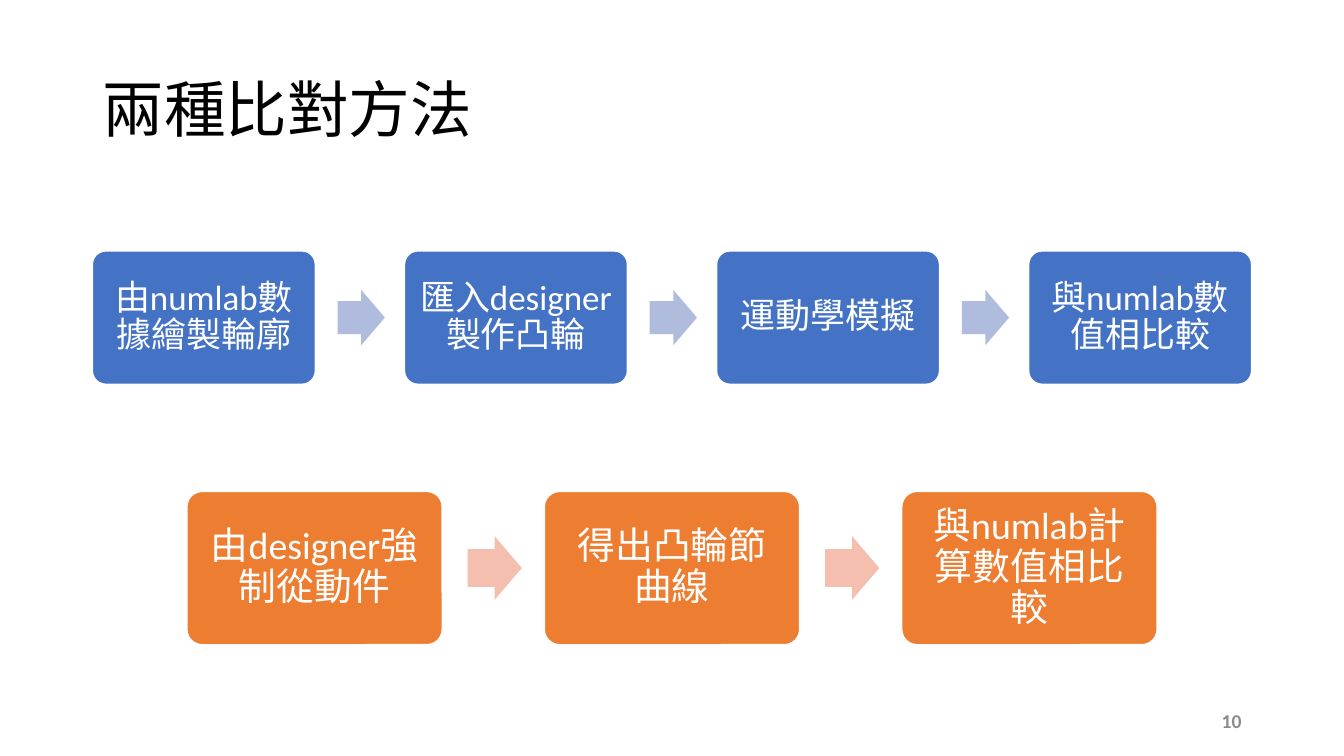
from dataclasses import dataclass

from pptx import Presentation
from pptx.dml.color import RGBColor
from pptx.enum.shapes import MSO_SHAPE
from pptx.enum.text import MSO_ANCHOR, PP_ALIGN
from pptx.util import Pt

ROUNDED, ARROW = MSO_SHAPE.ROUNDED_RECTANGLE, MSO_SHAPE.RIGHT_ARROW
MIDDLE = MSO_ANCHOR.MIDDLE
LEFT, CENTER, RIGHT = PP_ALIGN.LEFT, PP_ALIGN.CENTER, PP_ALIGN.RIGHT
EMU_PER_PX = 9525
TITLE_ONLY = 5


@dataclass(frozen=True)
class Theme:
    font: str = "Calibri"
    black: str = "000000"
    white: str = "FFFFFF"
    gray: str = "8C8C8C"
    blue: str = "4472C4"
    pale_blue: str = "B0BCDE"
    orange: str = "ED7D31"
    pale_orange: str = "F4BFAE"
    title_size: int = 44
    number_size: int = 14
    blue_size: int = 25
    orange_size: int = 27


THEME = Theme()


def px(*lengths):
    return [round(length * EMU_PER_PX) for length in lengths]


def write(frame, text, size, color, align, spacing=None, bold=False):
    frame.word_wrap = True
    frame.vertical_anchor = MIDDLE
    para = frame.paragraphs[0]
    para.text = text
    para.alignment = align
    para.line_spacing = spacing
    para.font.name = THEME.font
    para.font.size = Pt(size)
    para.font.bold = bold
    para.font.color.rgb = RGBColor.from_string(color)


def add_filled(page, kind, box, fill, adjustments):
    shape = page.shapes.add_shape(kind, *px(*box))
    shape.shadow.inherit = False
    shape.fill.solid()
    shape.fill.fore_color.rgb = RGBColor.from_string(fill)
    shape.line.fill.background()
    for index, value in enumerate(adjustments):
        shape.adjustments[index] = value
    return shape


def add_title(page, box, text):
    title = page.shapes.title
    title.left, title.top, title.width, title.height = px(*box)
    write(title.text_frame, text, THEME.title_size, THEME.black, LEFT, 0.9)


def add_process(page, box, steps, fill, arrow_fill, size):
    """Row of steps whose sizes all follow from the step width."""
    left, top, width, height = box
    step_width = width / (1.4 * len(steps) - 0.4)
    arrow_width, arrow_height = 0.212 * step_width, 0.248 * step_width
    for index, text in enumerate(steps):
        x = left + index * 1.4 * step_width
        # Arrow from the step before
        if index:
            arrow_box = (x - 0.3 * step_width, top + (height - arrow_height) / 2,
                         arrow_width, arrow_height)
            add_filled(page, ARROW, arrow_box, arrow_fill, (0.6, 0.5))
        # Step
        step = add_filled(page, ROUNDED, (x, top, step_width, height), fill, (0.1,))
        step.line.color.rgb = RGBColor.from_string(THEME.white)
        step.line.width = Pt(1)
        frame = step.text_frame
        inset = Pt(size * 0.3)
        frame.margin_left = frame.margin_right = inset
        frame.margin_top = frame.margin_bottom = inset
        write(frame, text, size, THEME.white, CENTER, 0.9)


def add_page_number(page, box, text):
    number = page.shapes.add_textbox(*px(*box))
    write(number.text_frame, text, THEME.number_size, THEME.gray, RIGHT, bold=True)


def build_methods_page(deck):
    page = deck.slides.add_slide(deck.slide_layouts[TITLE_ONLY])
    add_title(page, (88, 38, 1104, 139), "兩種比對方法")
    add_process(page, (88, 239, 1104, 127),
                ("由numlab數據繪製輪廓", "匯入designer製作凸輪",
                 "運動學模擬", "與numlab數值相比較"),
                THEME.blue, THEME.pale_blue, THEME.blue_size)
    add_process(page, (178, 468, 924, 146),
                ("由designer強制從動件", "得出凸輪節曲線",
                 "與numlab計算數值相比較"),
                THEME.orange, THEME.pale_orange, THEME.orange_size)
    add_page_number(page, (904, 667, 288, 38), "10")


def main():
    deck = Presentation()
    deck.slide_width, deck.slide_height = px(1280, 720)
    build_methods_page(deck)
    deck.save("out.pptx")


if __name__ == "__main__":
    main()
